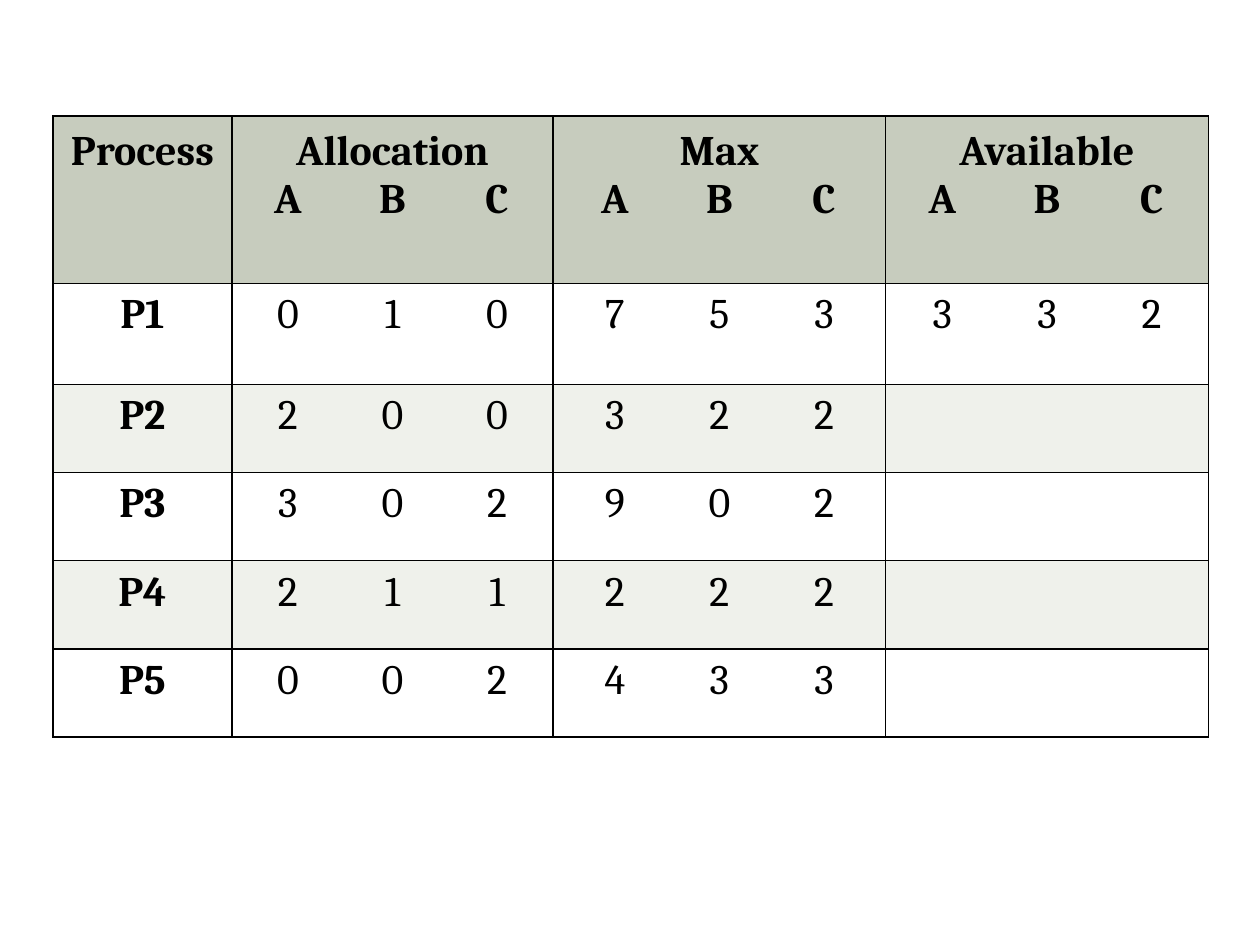
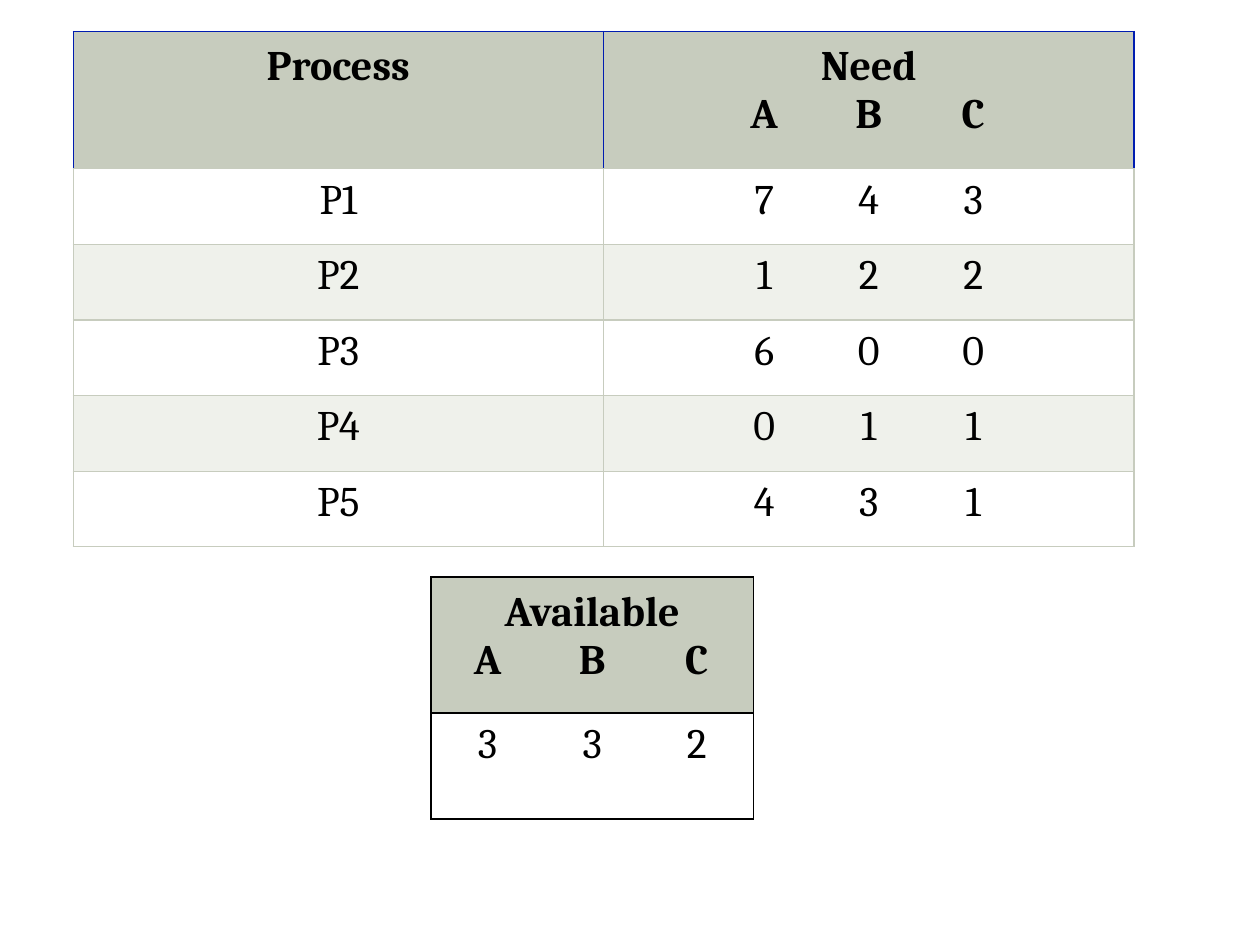
from dataclasses import dataclass

from lxml import etree
from pptx import Presentation
from pptx import util as u
from pptx.dml.color import RGBColor
from pptx.enum import text
from pptx.oxml import ns


@dataclass(frozen=True)
class Theme:
    font: str = "Cambria"
    size: int = 24
    ink: str = "000000"
    header: str = "C7CCBE"
    band: str = "EFF1EB"
    plain: str = "FFFFFF"
    accent: str = "001CB0"
    header_margin: float = 0.09
    body_margin: float = 0.06
    resource_gap: float = 0.83  # distance between the A, B and C columns


theme = Theme()


def fill_cell(cell, lines, width, margin, fill, bold, borders):
    """Write a cell; a line given as a tuple is spread over the A, B, C columns."""
    cell.margin_left = cell.margin_right = u.Inches(margin)
    cell.margin_top = cell.margin_bottom = u.Inches(margin)
    properties = cell._tc.get_or_add_tcPr()
    for side, (color, points) in zip("LRTB", borders):
        line = etree.SubElement(properties, ns.qn(f"a:ln{side}"), w=str(u.Pt(points)))
        solid = etree.SubElement(line, ns.qn("a:solidFill"))
        etree.SubElement(solid, ns.qn("a:srgbClr"), val=color)
    cell.fill.solid()
    cell.fill.fore_color.rgb = RGBColor.from_string(fill)

    cell.text_frame.text = "\n".join(
        "\t" + "\t".join(line) if isinstance(line, tuple) else line for line in lines)
    for paragraph, line in zip(cell.text_frame.paragraphs, lines):
        paragraph.alignment = text.PP_ALIGN.CENTER
        if isinstance(line, tuple):
            paragraph.alignment = text.PP_ALIGN.LEFT
            stops = etree.SubElement(paragraph._p.get_or_add_pPr(), ns.qn("a:tabLst"))
            for step in (-1, 0, 1):
                stop = u.Inches(width / 2 - margin + step * theme.resource_gap)
                etree.SubElement(stops, ns.qn("a:tab"), pos=str(stop), algn="ctr")
        for run in paragraph.runs:
            run.font.name = theme.font
            run.font.size = u.Pt(theme.size)
            run.font.bold = bold
            run.font.color.rgb = RGBColor.from_string(theme.ink)


def add_grid(slide, left, top, widths, heights, rows, border, header_borders,
             bold_process=False):
    """Add a table with a header row and banded body rows."""
    grid = slide.shapes.add_table(
        len(rows), len(widths), u.Inches(left), u.Inches(top),
        u.Inches(sum(widths)), u.Inches(sum(heights))).table
    for column, width in zip(grid.columns, widths):
        column.width = u.Inches(width)
    for r, (row, height) in enumerate(zip(rows, heights)):
        grid.rows[r].height = u.Inches(height)
        is_header = r == 0
        for c, lines in enumerate(row):
            fill_cell(
                grid.cell(r, c), lines, widths[c],
                margin=theme.header_margin if is_header else theme.body_margin,
                fill=theme.header if is_header else (theme.band, theme.plain)[r % 2],
                bold=is_header or (bold_process and c == 0),
                borders=header_borders if is_header else [border] * 4)


# Banker's algorithm data: (A, B, C) for each process
resources = tuple("ABC")
processes = ["P1", "P2", "P3", "P4", "P5"]
allocation = ["010", "200", "302", "211", "002"]
maximum = ["753", "322", "902", "222", "433"]
need = ["743", "122", "600", "011", "431"]
available = [tuple("332")]
available_header = ["Available", resources]

black = (theme.ink, 1)
soft = (theme.header, 0.75)
blue = (theme.accent, 0.75)

prs = Presentation()
prs.slide_width, prs.slide_height = u.Inches(10), u.Inches(7.5)
blank = prs.slide_layouts[6]

# Slide 1: allocation, maximum and available resources
state_slide = prs.slides.add_slide(blank)
state_rows = [[["Process"], ["Allocation", resources], ["Max", resources],
               available_header]]
for process, held, limit in zip(processes, allocation, maximum):
    free = available if process == "P1" else []
    state_rows.append([[process], [tuple(held)], [tuple(limit)], free])
add_grid(state_slide, 0.42, 0.92, [1.42, 2.55, 2.64, 2.56], [1.33, 0.8] + [0.7] * 4,
         state_rows, black, [black] * 4, bold_process=True)

# Slide 2: remaining need
need_slide = prs.slides.add_slide(blank)
need_rows = [[["Process"], ["Need", resources]]]
need_rows += [[[process], [tuple(rest)]] for process, rest in zip(processes, need)]
add_grid(need_slide, 0.58, 0.25, [4.21] * 2, [1.09] + [0.6] * 5,
         need_rows, soft, [blue, blue, blue, soft])

# Slide 2: available resources
add_grid(need_slide, 3.42, 4.58, [2.56], [1.08, 0.84],
         [[available_header], [available]], black, [black] * 4)

prs.save("out.pptx")
